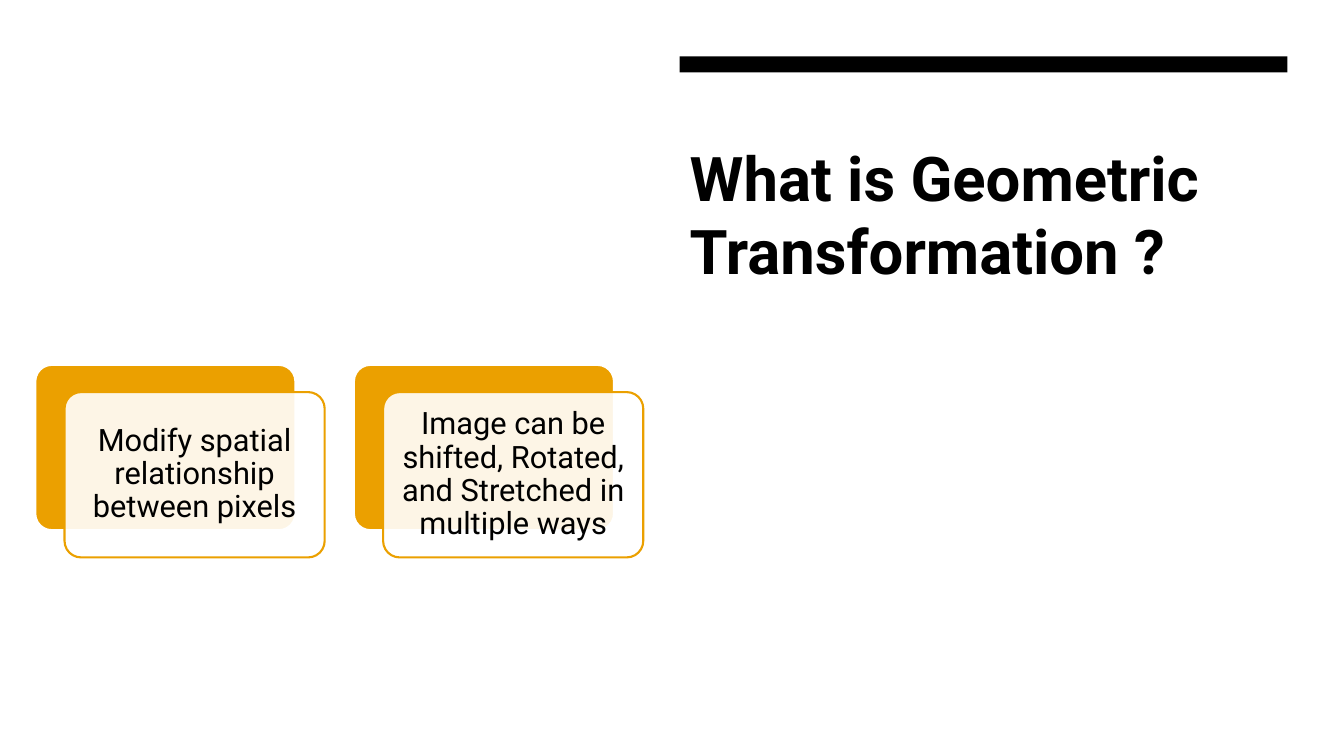
from dataclasses import dataclass

from lxml import etree
from pptx import Presentation
from pptx import util as u
from pptx.dml.color import RGBColor
from pptx.enum import shapes, text
from pptx.oxml.ns import qn


@dataclass(frozen=True)
class Theme:
    font: str = "Roboto"
    ink: str = "000000"
    paper: str = "FFFFFF"
    accent: str = "EBA000"
    title_size: int = 44
    body_size: int = 22
    line_width: float = 1.5
    card_opacity: int = 90


class SlideBuilder:
    """Draw styled elements on the current slide."""

    def __init__(self, page, theme):
        self.page = page
        self.theme = theme
        self.paint(page.background.fill, theme.paper)

    def paint(self, fill, color, opacity=100):
        fill.solid()
        fill.fore_color.rgb = RGBColor.from_string(color)
        if opacity < 100:
            for color_node in fill._xPr.iter(qn("a:srgbClr")):
                alpha = etree.SubElement(color_node, qn("a:alpha"))
                alpha.set("val", str(opacity * 1000))

    def place(self, shape, bounds):
        for name, value in zip(("left", "top", "width", "height"), bounds):
            setattr(shape, name, u.Inches(value))

    def set_text(self, shape, wording, frame_format, para_format, font_format):
        frame = shape.text_frame
        frame.text = wording
        para = frame.paragraphs[0]
        font = para.runs[0].font
        font_format = {"name": self.theme.font, **font_format}
        for target, values in ((frame, frame_format), (para, para_format), (font, font_format)):
            for name, value in values.items():
                setattr(target, name, value)
        font.color.rgb = RGBColor.from_string(self.theme.ink)

    def title(self, wording, bounds):
        box = self.page.shapes.title
        self.place(box, bounds)
        self.set_text(
            box,
            wording,
            {"word_wrap": True, "auto_size": text.MSO_AUTO_SIZE.NONE,
             "vertical_anchor": text.MSO_ANCHOR.BOTTOM},
            {"alignment": text.PP_ALIGN.LEFT},
            {"size": u.Pt(self.theme.title_size), "bold": True},
        )

    def block(self, kind, bounds, fill, line=None, opacity=100):
        shape = self.page.shapes.add_shape(kind, *map(u.Inches, bounds))
        shape.shadow.inherit = False
        self.paint(shape.fill, fill, opacity)
        if line:
            self.paint(shape.line.fill, line)
            shape.line.width = u.Pt(self.theme.line_width)
        else:
            shape.line.fill.background()
        return shape

    def bar(self, bounds):
        return self.block(shapes.MSO_SHAPE.RECTANGLE, bounds, self.theme.ink)

    def rounded(self, bounds, fill, line, opacity=100):
        shape = self.block(shapes.MSO_SHAPE.ROUNDED_RECTANGLE, bounds, fill, line, opacity)
        shape.adjustments[0] = 0.1
        return shape

    def card(self, wording, left, top, width, height):
        theme = self.theme
        self.rounded((left, top, width, height), theme.accent, theme.paper)
        front_bounds = (left + 0.29, top + 0.27, width, height)
        front = self.rounded(front_bounds, theme.paper, theme.accent, theme.card_opacity)
        margins = ("margin_left", "margin_top", "margin_right", "margin_bottom")
        self.set_text(
            front,
            wording,
            {"word_wrap": True, "vertical_anchor": text.MSO_ANCHOR.MIDDLE,
             **dict.fromkeys(margins, u.Inches(0.09))},
            {"alignment": text.PP_ALIGN.CENTER, "line_spacing": 0.9},
            {"size": u.Pt(theme.body_size)},
        )


def main():
    deck = Presentation()
    deck.slide_width = u.Inches(13.33)
    deck.slide_height = u.Inches(7.5)
    page = deck.slides.add_slide(deck.slide_layouts.get_by_name("Title Only"))
    builder = SlideBuilder(page, Theme())

    builder.title("What is Geometric Transformation ?", (6.74, 1.3, 6.03, 1.6))
    builder.bar((6.74, 0.56, 6.03, 0.16))
    points = (
        "Modify spatial relationship between pixels",
        "Image can be shifted, Rotated, and Stretched in multiple ways",
    )
    for index, point in enumerate(points):
        builder.card(point, 0.35 + index * 3.16, 3.62, 2.58, 1.64)

    deck.save("out.pptx")


if __name__ == "__main__":
    main()
